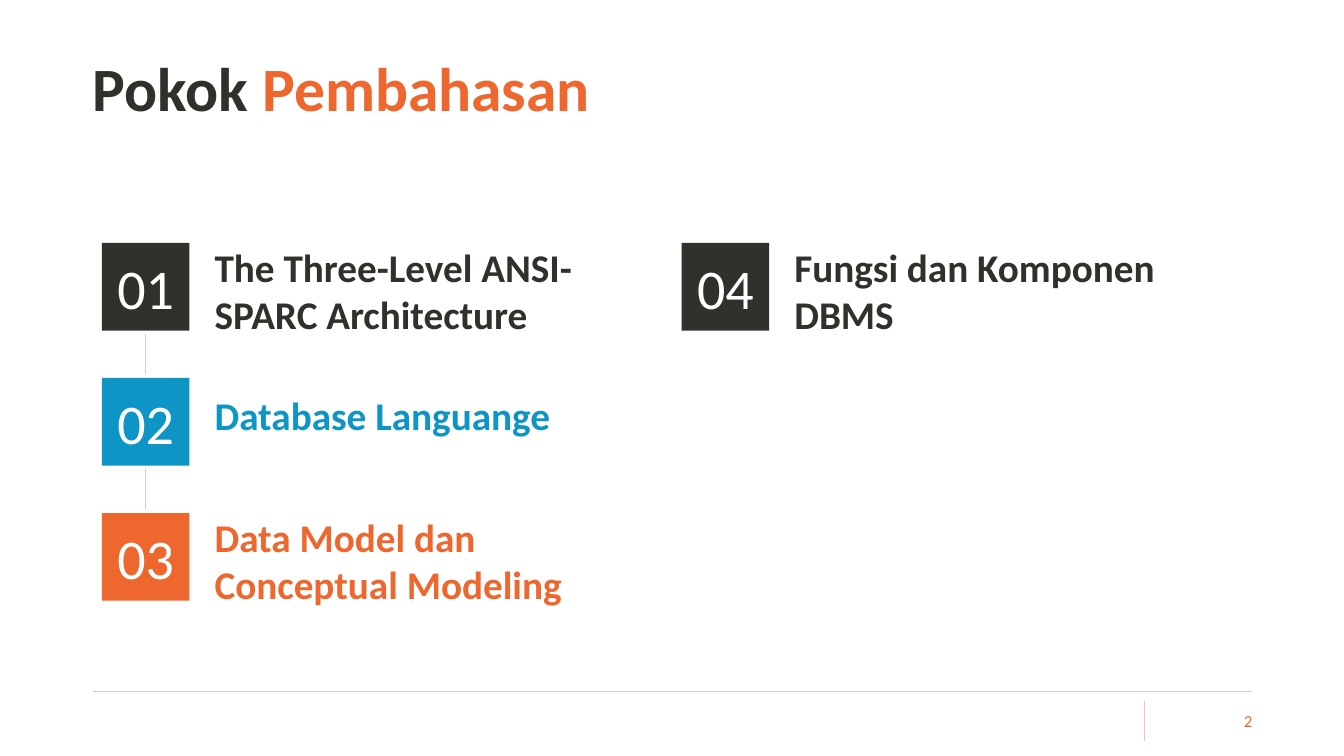
from lxml import etree
from pptx import Presentation
from pptx.dml.color import RGBColor
from pptx.enum.shapes import MSO_CONNECTOR, MSO_SHAPE
from pptx.enum.text import MSO_ANCHOR, PP_ALIGN
from pptx.oxml.ns import qn
from pptx.util import Inches, Pt

STRAIGHT = MSO_CONNECTOR.STRAIGHT
RECT = MSO_SHAPE.RECTANGLE
TOP, MIDDLE = MSO_ANCHOR.TOP, MSO_ANCHOR.MIDDLE
LEFT, CENTER, RIGHT = PP_ALIGN.LEFT, PP_ALIGN.CENTER, PP_ALIGN.RIGHT

DARK = RGBColor(0x31, 0x30, 0x2B)
BLUE = RGBColor(0x0D, 0x96, 0xC5)
ORANGE = RGBColor(0xEE, 0x67, 0x2F)
WHITE = RGBColor(0xFF, 0xFF, 0xFF)
RULE = RGBColor(0xCE, 0xCD, 0xC7)
PEACH = RGBColor(0xF8, 0xC2, 0xAC)
LINK = RGBColor(0xD0, 0xCE, 0xCE)

BOX = 0.87
ROW_TOP, ROW_PITCH = 2.41, 1.34
COL_LEFT, COL_PITCH = 1.01, 5.75
ROWS = 3
LINE_HEIGHT = 0.47

TOPICS = [
    ("The Three-Level ANSI-SPARC Architecture", DARK, 0, 2),
    ("Database Languange", BLUE, 0.13, 1),
    ("Data Model dan Conceptual Modeling", ORANGE, 0, 2),
    ("Fungsi dan Komponen DBMS", DARK, 0, 2),
]


class SlideBuilder:
    font = "Calibri"

    def __init__(self, slide):
        self.slide = slide

    def style(self, p, size, bold, align):
        p.alignment = align
        p.font.name = self.font
        p.font.size = Pt(size)
        p.font.bold = bold

    def line(self, x1, y1, x2, y2, color):
        s = self.slide.shapes.add_connector(
            STRAIGHT, Inches(x1), Inches(y1), Inches(x2), Inches(y2))
        s.line.color.rgb = color
        s.line.width = Pt(0.5)
        etree.SubElement(s._element.spPr, qn("a:effectLst"))

    def text(self, x, y, w, h, runs, size, bold=False, align=LEFT,
             anchor=TOP, insets=(0.1, 0, 0.1, 0), spacing=None):
        s = self.slide.shapes.add_textbox(
            Inches(x), Inches(y), Inches(w), Inches(h))
        tf = s.text_frame
        tf.word_wrap = True
        tf.vertical_anchor = anchor
        tf.margin_left, tf.margin_top, tf.margin_right, tf.margin_bottom = (
            Inches(i) for i in insets)
        p = tf.paragraphs[0]
        self.style(p, size, bold, align)
        if spacing:
            p.line_spacing = spacing
        for words, color in runs:
            r = p.add_run()
            r.text = words
            r.font.color.rgb = color

    def number_box(self, x, y, label, color):
        s = self.slide.shapes.add_shape(
            RECT, Inches(x), Inches(y), Inches(BOX), Inches(BOX))
        s.shadow.inherit = False
        s.fill.solid()
        s.fill.fore_color.rgb = color
        s.line.fill.background()
        tf = s.text_frame
        tf.vertical_anchor = MIDDLE
        p = tf.paragraphs[0]
        p.text = label
        self.style(p, 40, False, CENTER)
        p.font.color.rgb = WHITE


def main():
    prs = Presentation()
    prs.slide_width, prs.slide_height = Inches(13.33), Inches(7.5)
    b = SlideBuilder(prs.slides.add_slide(prs.slide_layouts[6]))

    b.line(0.92, 6.86, 12.42, 6.86, RULE)
    b.line(11.35, 6.95, 11.35, 7.35, PEACH)

    for i, (topic, color, drop, lines) in enumerate(TOPICS):
        col, row = divmod(i, ROWS)
        x, y = COL_LEFT + col * COL_PITCH, ROW_TOP + row * ROW_PITCH
        b.text(x + 1.02, y + drop, 4.61, lines * LINE_HEIGHT,
               [(topic, color)], 28, bold=True)
        b.number_box(x, y, f"{i + 1:02d}", color)

    for row in range(ROWS - 1):
        y = ROW_TOP + row * ROW_PITCH + 0.9
        b.line(1.44, y, 1.44, y + 0.4, LINK)

    b.text(0.92, 0.18, 10.47, 1.45,
           [("Pokok ", DARK), ("Pembahasan", ORANGE)], 44, bold=True,
           anchor=MIDDLE, insets=(0, 0.05, 0.1, 0.05), spacing=0.9)
    b.text(11.47, 6.95, 0.95, 0.4, [("2", ORANGE)], 12, align=RIGHT,
           anchor=MIDDLE, insets=(0, 0.05, 0, 0.05))

    prs.save("out.pptx")


if __name__ == "__main__":
    main()
